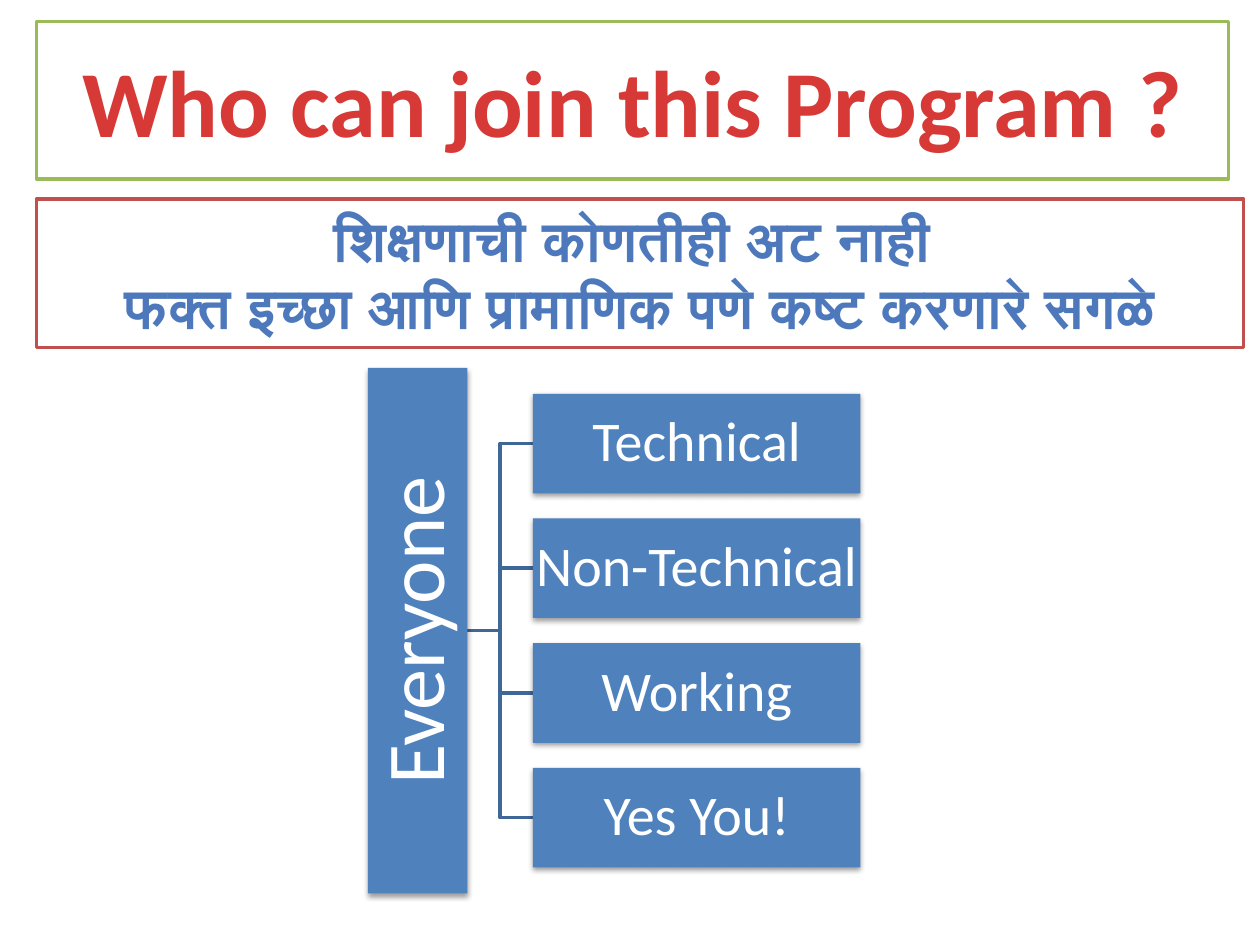
import pptx
import pptx.dml.color
import pptx.enum.shapes
import pptx.enum.text
import pptx.oxml
import pptx.oxml.ns
import pptx.util
from pptx.util import Inches

RGBColor = pptx.dml.color.RGBColor
WHITE = RGBColor(0xFF, 0xFF, 0xFF)
RED = RGBColor(0xD7, 0x3A, 0x36)
GREEN_LINE = RGBColor(0x9B, 0xBB, 0x59)
RED_LINE = RGBColor(0xC0, 0x50, 0x4D)
TEXT_BLUE = RGBColor(0x4D, 0x79, 0xBC)
BOX_BLUE = RGBColor(0x4F, 0x81, 0xBD)
LINK_BLUE = RGBColor(0x3F, 0x67, 0x97)

ANCHOR = pptx.enum.text.MSO_ANCHOR
AUTO_SIZE = pptx.enum.text.MSO_AUTO_SIZE
SHADOW = (
    '<a:effectLst %s><a:outerShdw blurRad="40000" dist="20000" dir="5400000" '
    'rotWithShape="0"><a:srgbClr val="000000"><a:alpha val="38000"/></a:srgbClr>'
    '</a:outerShdw></a:effectLst>' % pptx.oxml.ns.nsdecls("a")
)
NO_EFFECT = "<a:effectLst %s/>" % pptx.oxml.ns.nsdecls("a")


def add_effect(shape, effect_xml):
    shape._element.spPr.append(pptx.oxml.parse_xml(effect_xml))


def place(shape, left, top, width, height):
    shape.left, shape.top = Inches(left), Inches(top)
    shape.width, shape.height = Inches(width), Inches(height)


def format_text(frame, size, color, bold=False):
    for paragraph in frame.paragraphs:
        paragraph.alignment = pptx.enum.text.PP_ALIGN.CENTER
        for run in paragraph.runs:
            run.font.name = "Calibri"
            run.font.size = pptx.util.Pt(size)
            run.font.bold = bold
            run.font.color.rgb = color


def frame_banner(banner, outline):
    banner.fill.solid()
    banner.fill.fore_color.rgb = WHITE
    banner.line.color.rgb = outline
    banner.line.width = pptx.util.Pt(2)


def fill_title(title, left, top, width, height):
    place(title, left, top, width, height)
    frame_banner(title, GREEN_LINE)
    frame = title.text_frame
    frame.text = "Who can join this Program ?"
    frame.auto_size = AUTO_SIZE.NONE
    frame.vertical_anchor = ANCHOR.MIDDLE
    format_text(frame, 54, RED, bold=True)


def add_requirement(slide, left, top, width, height):
    requirement = slide.shapes.add_textbox(
        Inches(left), Inches(top), Inches(width), Inches(height))
    frame_banner(requirement, RED_LINE)
    frame = requirement.text_frame
    frame.word_wrap = True
    frame.auto_size = AUTO_SIZE.SHAPE_TO_FIT_TEXT
    frame.text = ("शिक्षणाची कोणतीही अट नाही \n"
                  "फक्त इच्छा आणि प्रामाणिक पणे कष्ट करणारे सगळे")
    format_text(frame, 32, TEXT_BLUE, bold=True)


def add_node(slide, text, size, margin, left, top, width, height):
    node = slide.shapes.add_shape(
        pptx.enum.shapes.MSO_SHAPE.RECTANGLE,
        Inches(left), Inches(top), Inches(width), Inches(height))
    node.fill.solid()
    node.fill.fore_color.rgb = BOX_BLUE
    node.line.fill.background()
    add_effect(node, SHADOW)
    frame = node.text_frame
    frame.word_wrap = True
    frame.vertical_anchor = ANCHOR.MIDDLE
    frame.margin_left = frame.margin_right = Inches(margin)
    frame.margin_top = frame.margin_bottom = Inches(margin)
    frame.text = text
    frame.paragraphs[0].line_spacing = 0.9
    format_text(frame, size, WHITE)
    return node


def add_link(slide, start_x, start_y, end_x, end_y):
    link = slide.shapes.add_connector(
        pptx.enum.shapes.MSO_CONNECTOR.ELBOW,
        Inches(start_x), Inches(start_y), Inches(end_x), Inches(end_y))
    link.line.color.rgb = LINK_BLUE
    link.line.width = pptx.util.Pt(2)
    add_effect(link, NO_EFFECT)


def add_hierarchy(slide, root, members, left, top, width, height):
    """Draw an upright root bar on the left, linked to a column of members."""
    thickness, member_width, pitch = 0.79, 2.6, 0.99
    root_right = left + thickness
    member_left = left + width - member_width
    middle = top + height / 2
    first_center = middle - pitch * (len(members) - 1) / 2
    centers = [first_center + pitch * row for row in range(len(members))]

    for center in centers:
        add_link(slide, root_right, middle, member_left, center)
    # The bar is laid out flat, then turned about its centre.
    bar = add_node(slide, root, 47, 0.03, left + (thickness - height) / 2,
                   middle - thickness / 2, height, thickness)
    bar.rotation = 270
    for member, center in zip(members, centers):
        add_node(slide, member, 32, 0.02, member_left,
                 center - thickness / 2, member_width, thickness)


def main():
    deck = pptx.Presentation()
    deck.slide_width, deck.slide_height = Inches(10), Inches(7.5)
    slide = deck.slides.add_slide(deck.slide_layouts[5])
    fill_title(slide.shapes.title, 0.29, 0.17, 9.46, 1.25)
    add_requirement(slide, 0.29, 1.58, 9.58, 1.18)
    add_hierarchy(slide, "Everyone",
                  ["Technical", "Non-Technical", "Working", "Yes You!"],
                  2.92, 2.92, 3.91, 4.17)
    deck.save("out.pptx")


if __name__ == "__main__":
    main()
